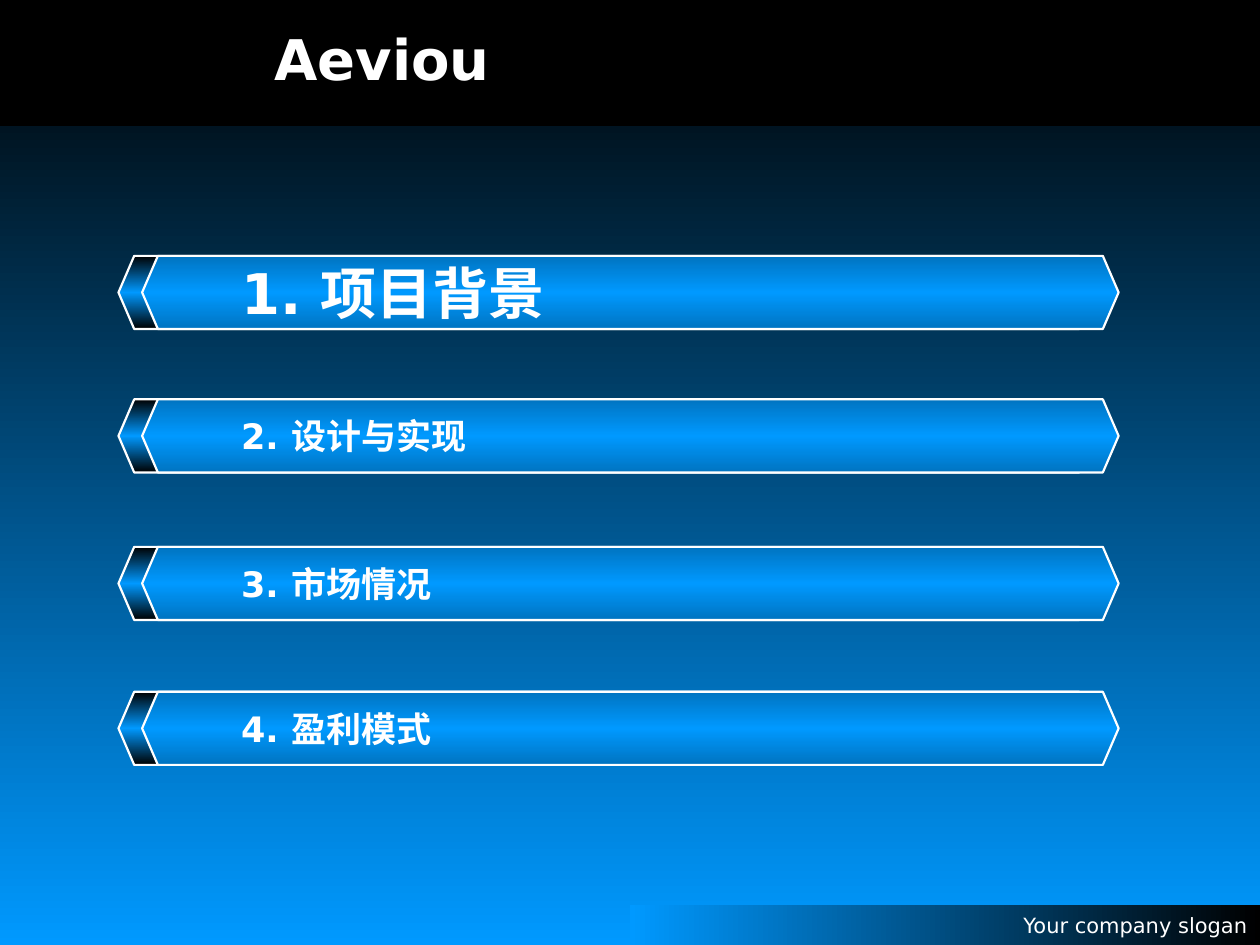
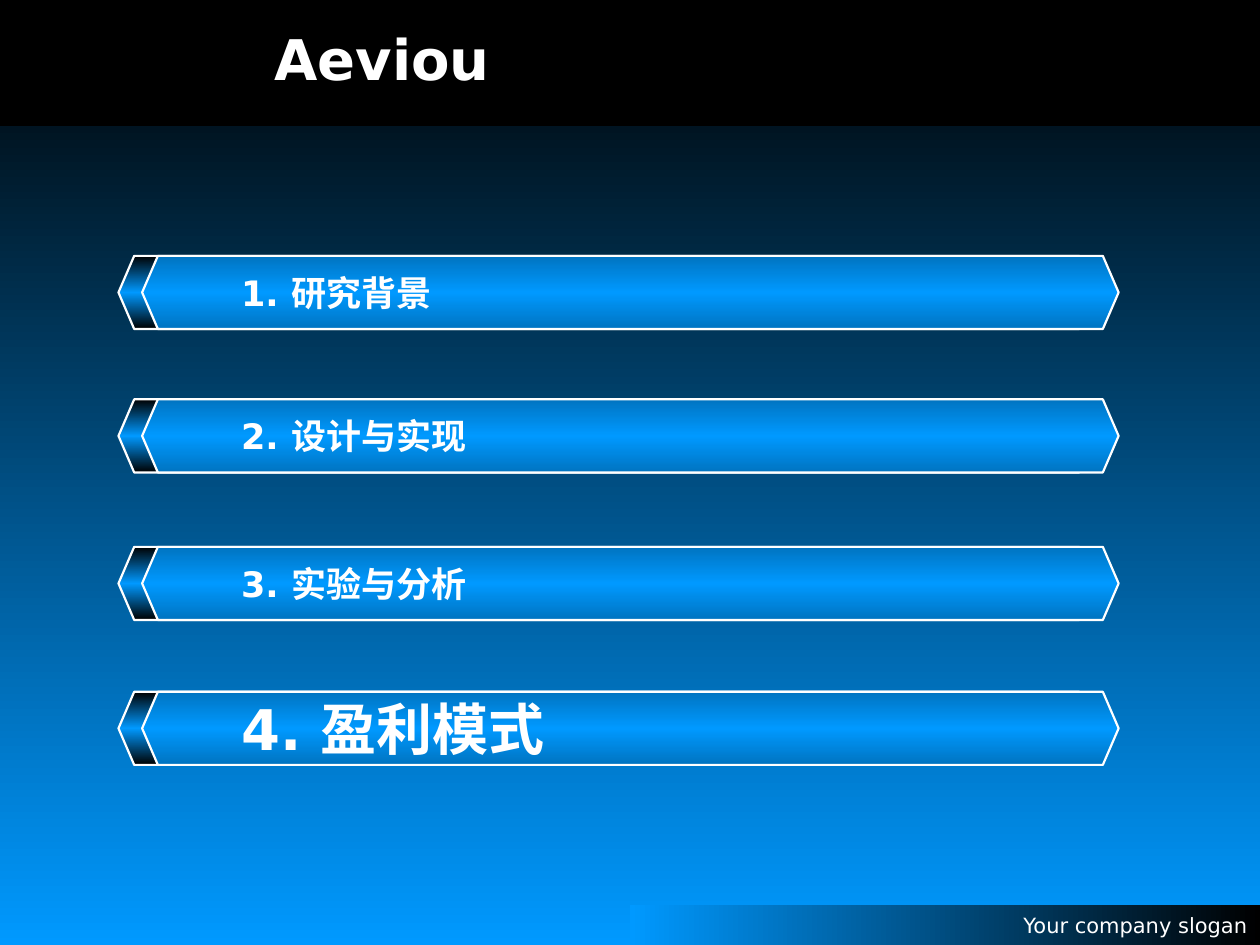
from dataclasses import dataclass
from typing import Any

from lxml.etree import SubElement
from pptx import Presentation
from pptx.dml.color import RGBColor
from pptx.enum.shapes import MSO_SHAPE
from pptx.enum.text import MSO_ANCHOR, PP_ALIGN
from pptx.oxml.ns import qn
from pptx.util import Length, Pt


@dataclass(frozen=True)
class Theme:
    font: str = "DejaVu Sans"
    black: str = "000000"
    white: str = "FFFFFF"
    bright_blue: str = "0099FF"
    deep_blue: str = "0074C1"
    title_size: Length = Pt(32)
    active_size: Length = Pt(32)
    item_size: Length = Pt(20)
    footer_size: Length = Pt(12)
    outline: Length = Pt(1.25)


@dataclass(frozen=True)
class Box:
    left: Length
    top: Length
    width: Length
    height: Length


@dataclass(frozen=True)
class Agenda:
    items: tuple[str, ...]
    active: int


THEME = Theme()
SLIDE_WIDTH, SLIDE_HEIGHT = Pt(720), Pt(540)
HEADER = Box(Pt(0), Pt(0), SLIDE_WIDTH, Pt(72))
TITLE = Box(Pt(149.8), Pt(0), Pt(570.2), Pt(66.2))
FOOTER = Box(Pt(360), Pt(517), Pt(360), Pt(23))

BAR_TOPS = (Pt(146.2), Pt(228.2), Pt(312.5), Pt(395.3))
BAR_WIDTH, BAR_HEIGHT = Pt(558), Pt(41.8)
BACK_LEFT, FRONT_LEFT = Pt(67.7), Pt(81.2)
BAR_POINT = 0.215

DOWNWARD, RIGHTWARD = 270, 0

AGENDAS = (
    Agenda(("1. 项目背景", "2. 设计与实现", "3. 市场情况", "4. 盈利模式"), active=0),
    Agenda(("1. 研究背景", "2. 设计与实现", "3. 实验与分析", "4. 盈利模式"), active=3),
)


def fill_gradient(fill: Any, element: Any, colors: tuple[str, ...], angle: int) -> None:
    """Spread the colours evenly; element is the XML that holds the fill."""
    fill.gradient()
    fill.gradient_angle = angle
    stop_list = next(element.iter(qn("a:gsLst")))
    for stop in list(stop_list):
        stop_list.remove(stop)
    for index, color in enumerate(colors):
        position = 100000 * index // (len(colors) - 1)
        stop = SubElement(stop_list, qn("a:gs"), pos=str(position))
        SubElement(stop, qn("a:srgbClr"), val=color)


def add_plain_shape(slide: Any, kind: MSO_SHAPE, box: Box) -> Any:
    shape = slide.shapes.add_shape(kind, box.left, box.top, box.width, box.height)
    shape.shadow.inherit = False
    shape.line.fill.background()
    return shape


def write_text(shape: Any, text: str, size: Length, bold: bool = True,
               alignment: PP_ALIGN = PP_ALIGN.LEFT, wrap: bool = False) -> None:
    text_frame = shape.text_frame
    text_frame.text = text
    text_frame.word_wrap = wrap
    text_frame.vertical_anchor = MSO_ANCHOR.MIDDLE
    paragraph = text_frame.paragraphs[0]
    paragraph.alignment = alignment
    font = paragraph.runs[0].font
    font.name = THEME.font
    font.size = size
    font.bold = bold
    font.color.rgb = RGBColor.from_string(THEME.white)


def add_bar(slide: Any, left: Length, top: Length, edge_color: str) -> Any:
    bar = add_plain_shape(slide, MSO_SHAPE.HEXAGON, Box(left, top, BAR_WIDTH, BAR_HEIGHT))
    bar.adjustments[0] = BAR_POINT
    fill_gradient(bar.fill, bar.element, (edge_color, THEME.bright_blue, edge_color), DOWNWARD)
    bar.line.color.rgb = RGBColor.from_string(THEME.white)
    bar.line.width = THEME.outline
    return bar


def add_frame(slide: Any) -> None:
    """Draw the background, header band, title and footer."""
    fill_gradient(slide.background.fill, slide.element,
                  (THEME.black, THEME.bright_blue), DOWNWARD)

    header = add_plain_shape(slide, MSO_SHAPE.RECTANGLE, HEADER)
    header.fill.solid()
    header.fill.fore_color.rgb = RGBColor.from_string(THEME.black)

    footer = add_plain_shape(slide, MSO_SHAPE.RECTANGLE, FOOTER)
    fill_gradient(footer.fill, footer.element, (THEME.bright_blue, THEME.black), RIGHTWARD)
    write_text(footer, "Your company slogan", THEME.footer_size, bold=False,
               alignment=PP_ALIGN.RIGHT)

    title = slide.shapes.add_textbox(TITLE.left, TITLE.top, TITLE.width, TITLE.height)
    write_text(title, "Aeviou", THEME.title_size, wrap=True)


def add_agenda(slide: Any, agenda: Agenda) -> None:
    for index, (item, top) in enumerate(zip(agenda.items, BAR_TOPS)):
        add_bar(slide, BACK_LEFT, top, THEME.black)
        front = add_bar(slide, FRONT_LEFT, top, THEME.deep_blue)
        size = THEME.active_size if index == agenda.active else THEME.item_size
        write_text(front, item, size)


def main() -> None:
    presentation = Presentation()
    presentation.slide_width = SLIDE_WIDTH
    presentation.slide_height = SLIDE_HEIGHT
    blank_layout = presentation.slide_layouts[6]
    for agenda in AGENDAS:
        slide = presentation.slides.add_slide(blank_layout)
        add_frame(slide)
        add_agenda(slide, agenda)
    presentation.save("out.pptx")


if __name__ == "__main__":
    main()
